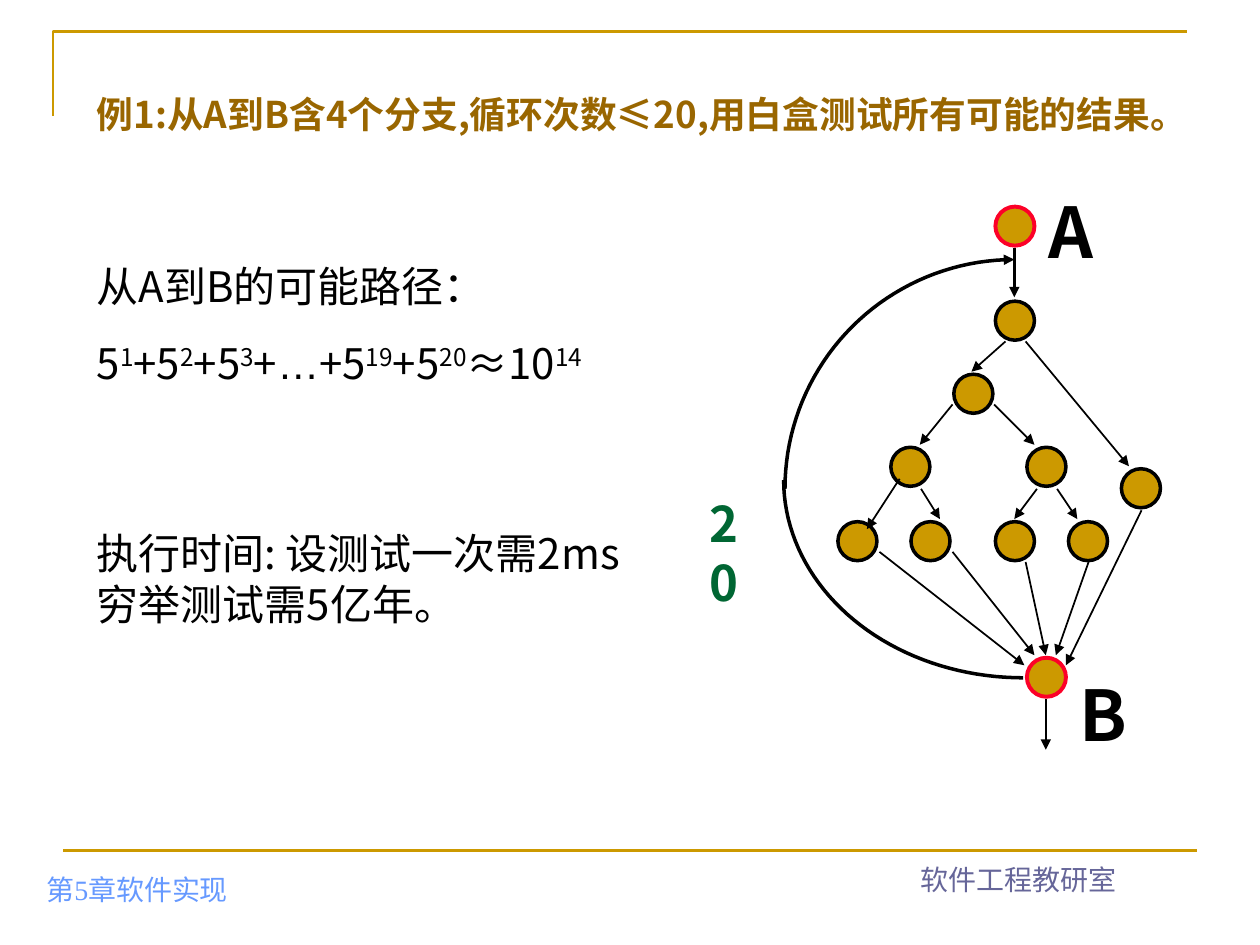
import math

import pptx
import pptx.dml.color
import pptx.enum.shapes
import pptx.enum.text
import pptx.oxml
import pptx.oxml.ns
import pptx.util
from pptx.util import Inches

GOLD, BLACK, RED = "CC9900", "000000", "FC0128"
SANS, SERIF = "Noto Sans CJK SC", "Times New Roman"
NODE_SIZE = 0.31

# Left and top of every inner node of the flow graph
INNER_NODES = [
    (7.9, 2.39), (7.57, 2.97), (7.07, 3.55), (8.15, 3.55), (8.9, 3.72),
    (6.65, 4.14), (7.23, 4.14), (7.9, 4.14), (8.48, 4.14),
]
END_NODES = [(7.9, 1.64), (8.15, 5.22)]

# Start and end of every thin arrow
EDGES = [
    (7.98, 2.71, 7.71, 2.95), (8.14, 2.71, 8.96, 3.7),
    (7.56, 3.21, 7.3, 3.53), (7.89, 3.21, 8.21, 3.53),
    (7.14, 3.8, 6.88, 4.2), (7.31, 3.88, 7.46, 4.12),
    (8.23, 3.88, 8.05, 4.12), (8.39, 3.88, 8.55, 4.12),
    (6.98, 4.38, 8.13, 5.28), (7.56, 4.38, 8.21, 5.2),
    (8.14, 4.46, 8.3, 5.2), (8.64, 4.46, 8.38, 5.2),
    (9.06, 4.05, 8.46, 5.28), (8.3, 5.55, 8.3, 5.95),
]


def color(value):
    return pptx.dml.color.RGBColor.from_string(value)


def set_line(shape, line_color, width, arrow=False):
    shape.line.color.rgb = color(line_color)
    shape.line.width = pptx.util.Pt(width)
    if arrow:
        head = pptx.oxml.parse_xml(
            f'<a:tailEnd {pptx.oxml.ns.nsdecls("a")} type="triangle"/>')
        shape.line._get_or_add_ln().append(head)


def add_line(page, ends, line_color=BLACK, width=1, arrow=True):
    line = page.shapes.add_connector(
        pptx.enum.shapes.MSO_CONNECTOR.STRAIGHT, *map(Inches, ends))
    set_line(line, line_color, width, arrow)
    line._element.spPr.append(pptx.oxml.parse_xml(
        f'<a:effectLst {pptx.oxml.ns.nsdecls("a")}/>'))


def add_outline(page, points, line_color, width, arrow=False):
    corners = [(Inches(x), Inches(y)) for x, y in points]
    builder = page.shapes.build_freeform(*corners[0], scale=1.0)
    builder.add_line_segments(corners[1:], close=False)
    outline = builder.convert_to_shape()
    outline.fill.background()
    outline.shadow.inherit = False
    set_line(outline, line_color, width, arrow)


def quarter_arc(center, radii, start, steps=40):
    """Points of a clockwise quarter ellipse, start in degrees."""
    angles = [math.radians(start + 90 * i / steps) for i in range(steps + 1)]
    return [(center[0] + radii[0] * math.cos(a),
             center[1] + radii[1] * math.sin(a)) for a in angles]


def add_node(page, place, line_color=BLACK, width=2):
    node = page.shapes.add_shape(
        pptx.enum.shapes.MSO_SHAPE.OVAL, *map(Inches, place),
        Inches(NODE_SIZE), Inches(NODE_SIZE))
    node.fill.solid()
    node.fill.fore_color.rgb = color(GOLD)
    node.shadow.inherit = False
    set_line(node, line_color, width)


def add_span(para, text, text_color, font, raised=False):
    span = para.add_run()
    span.text = text
    for name, value in font.items():
        setattr(span.font, name, value)
    span.font.color.rgb = color(text_color)
    properties = span._r.get_or_add_rPr()
    if font["name"] == SANS:
        properties.append(pptx.oxml.parse_xml(
            f'<a:ea {pptx.oxml.ns.nsdecls("a")} typeface="{SANS}"/>'))
    if raised:
        properties.set("baseline", "30000")


def add_text(page, place, paragraphs, size, text_color=BLACK, name=SANS,
             bold=False, anchor="TOP", align="LEFT", gap=0):
    """Each paragraph is a list of lines; '^' marks a raised span after '|'."""
    box = page.shapes.add_textbox(*map(Inches, place))
    frame = box.text_frame
    frame.word_wrap = True
    frame.vertical_anchor = getattr(pptx.enum.text.MSO_ANCHOR, anchor)
    font = {"size": pptx.util.Pt(size), "name": name, "bold": bold}
    for number, lines in enumerate(paragraphs):
        para = frame.add_paragraph() if number else frame.paragraphs[0]
        para.alignment = getattr(pptx.enum.text.PP_ALIGN, align)
        if number:
            para.space_before = pptx.util.Pt(gap)
        for row, line in enumerate(lines):
            if row:
                para.add_line_break()
            for part in line.split("|"):
                special = {"name": "Arial"} if part == "…" else {}
                add_span(para, part.lstrip("^"), text_color,
                         {**font, **special}, part.startswith("^"))


def add_frame(page):
    add_outline(page, [(0.42, 0.92), (0.42, 0.25), (9.42, 0.25)], GOLD, 1.5)
    add_line(page, (0.5, 6.75, 9.5, 6.75), GOLD, 1.5, arrow=False)
    add_text(page, (0.27, 6.74, 3.15, 0.5), [["第5章软件实现"]], 16,
             "6699FF", SERIF, anchor="BOTTOM")
    add_text(page, (6.5, 6.66, 3.17, 0.5), [["软件工程教研室"]], 16,
             "666699", SERIF, anchor="BOTTOM", align="CENTER")


def add_flow_graph(page):
    add_text(page, (5.53, 3.87, 0.64, 0.56), [["20"]], 28, "006633", bold=True)
    for place in INNER_NODES:
        add_node(page, place)
    for place in END_NODES:
        add_node(page, place, RED, 2.25)
    add_line(page, (8.05, 1.97, 8.05, 2.36), width=2)
    for ends in EDGES:
        add_line(page, ends)
    # Loop from B back to A
    add_outline(page, quarter_arc((8.05, 3.88), (1.82, 1.82), 180),
                BLACK, 2, arrow=True)
    add_outline(page, quarter_arc((8.12, 3.81), (1.9, 1.57), 90), BLACK, 2)
    for letter, left, top in (("A", 8.22, 1.45), ("B", 8.47, 5.28)):
        add_text(page, (left, top, 0.33, 0.76), [[letter]], 40, bold=True)


def main():
    deck = pptx.Presentation()
    deck.slide_width, deck.slide_height = Inches(10), Inches(7.5)
    page = deck.slides.add_slide(deck.slide_layouts[6])

    add_frame(page)
    # Title
    add_text(page, (0.67, 0.68, 8.9, 0.79),
             [["例1:从A到B含4个分支,循环次数≤20,用白盒测试所有可能的结果。"]],
             21, "996600", bold=True)
    add_flow_graph(page)
    # Path count and running time
    add_text(page, (0.67, 2.02, 5.43, 1.11),
             [["从A到B的可能路径："],
              ["5|^1|+5|^2|+5|^3|+|…|+5|^19|+5|^20|≈10|^14"]], 24, gap=15)
    add_text(page, (0.67, 4.14, 5.04, 0.9),
             [["执行时间: 设测试一次需2ms", "穷举测试需5亿年。"]], 24)
    deck.save("out.pptx")


if __name__ == "__main__":
    main()
